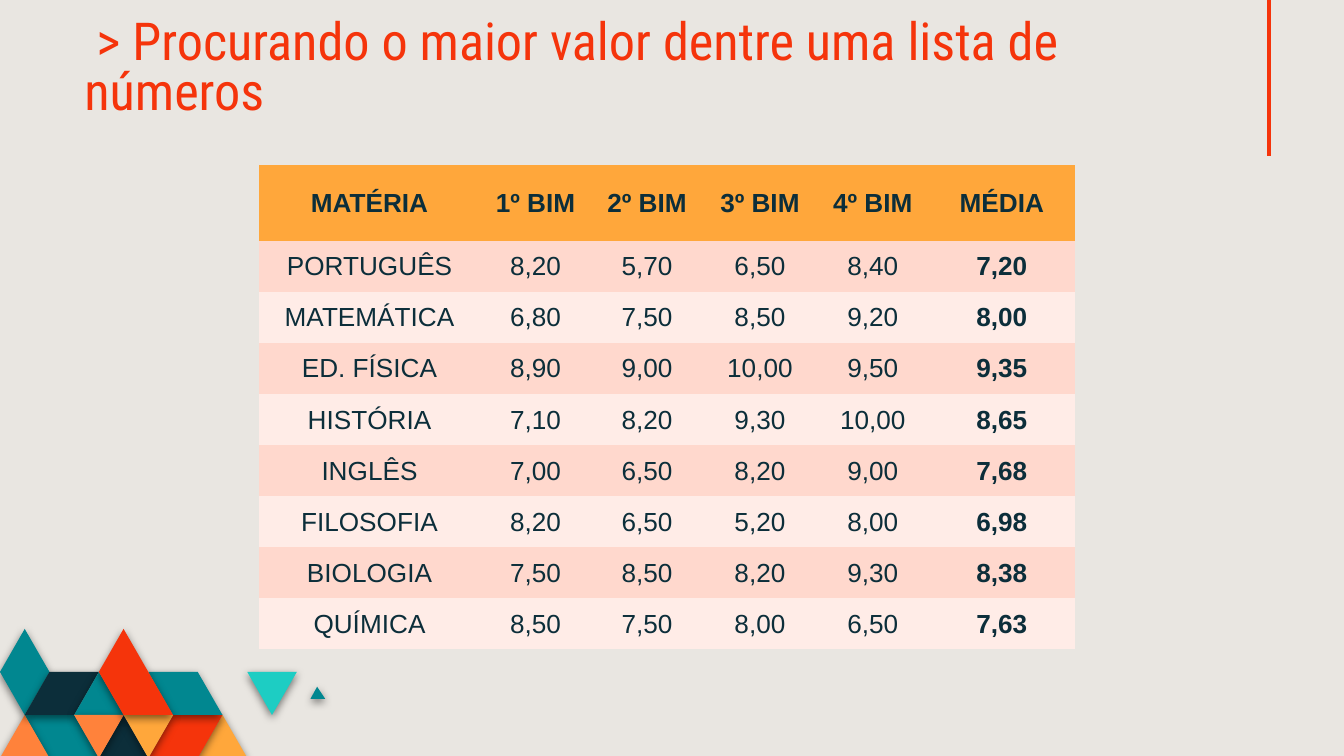
from lxml.etree import SubElement
from pptx import Presentation
from pptx.dml.color import RGBColor
from pptx.enum.shapes import MSO_CONNECTOR
from pptx.enum.text import MSO_ANCHOR, PP_ALIGN
from pptx.oxml.ns import qn
from pptx.util import Inches, Pt

RED = RGBColor(0xF5, 0x34, 0x0B)
AMBER = RGBColor(0xFF, 0xA7, 0x3B)
ORANGE = RGBColor(0xFF, 0x82, 0x3B)
TEAL = RGBColor(0x01, 0x87, 0x90)
AQUA = RGBColor(0x1D, 0xCD, 0xC3)
NAVY = RGBColor(0x0C, 0x2E, 0x3A)
SAND = RGBColor(0xE9, 0xE6, 0xE1)
PINK = RGBColor(0xFF, 0xD8, 0xCD)
PALE_PINK = RGBColor(0xFF, 0xEC, 0xE7)

SLIDE_WIDTH = 10
SLIDE_HEIGHT = SLIDE_WIDTH * 9 / 16

TITLE = " > Procurando o maior valor dentre uma lista de números"
GRADES = [
    ("MATÉRIA", "1º BIM", "2º BIM", "3º BIM", "4º BIM", "MÉDIA"),
    ("PORTUGUÊS", "8,20", "5,70", "6,50", "8,40", "7,20"),
    ("MATEMÁTICA", "6,80", "7,50", "8,50", "9,20", "8,00"),
    ("ED. FÍSICA", "8,90", "9,00", "10,00", "9,50", "9,35"),
    ("HISTÓRIA", "7,10", "8,20", "9,30", "10,00", "8,65"),
    ("INGLÊS", "7,00", "6,50", "8,20", "9,00", "7,68"),
    ("FILOSOFIA", "8,20", "6,50", "5,20", "8,00", "6,98"),
    ("BIOLOGIA", "7,50", "8,50", "8,20", "9,30", "8,38"),
    ("QUÍMICA", "8,50", "7,50", "8,00", "6,50", "7,63"),
]
COLUMN_WIDTHS = [1.64, 0.83, 0.83, 0.85, 0.83, 1.09]
HEADER_HEIGHT, ROW_HEIGHT = 0.56, 0.38
NO_STYLE_NO_GRID = "{2D5ABB26-0587-4C30-8999-92F81FD0307C}"

MOSAIC_TOP, HALF_SIDE, TILE_HEIGHT = 4.68, 0.92 / 5, 0.32
MOSAIC_TILES = [
    (AMBER, [(10, 3), (9, 2), (8, 3)]),
    (RED, [(9, 2), (7, 2), (6, 3), (8, 3)]),
    (TEAL, [(4, 3), (3, 2), (1, 2), (2, 3)]),
    (ORANGE, [(2, 3), (1, 2), (0, 3)]),
    (NAVY, [(6, 3), (5, 2), (4, 3)]),
    (TEAL, [(9, 2), (8, 1), (6, 1), (7, 2)]),
    (AQUA, [(12, 1), (10, 1), (11, 2)]),
    (TEAL, [(2, 1), (1, 0), (0, 1), (1, 2)]),
    (NAVY, [(4, 1), (2, 1), (1, 2), (3, 2)]),
    (TEAL, [(5, 2), (4, 1), (3, 2)]),
    (ORANGE, [(5, 2), (3, 2), (4, 3)]),
    (AMBER, [(7, 2), (5, 2), (6, 3)]),
    (RED, [(7, 2), (5, 0), (4, 1), (5, 2)]),
]
SMALL_TRIANGLE = [(2.42, 5.2), (2.36, 5.11), (2.31, 5.2)]


def write_text(frame, text, *, font, size, color, bold=False,
               align=PP_ALIGN.LEFT, line_spacing=1.0):
    paragraph = frame.paragraphs[0]
    paragraph.alignment = align
    paragraph.line_spacing = line_spacing
    run = paragraph.add_run()
    run.text = text
    run.font.name = font
    run.font.size = Pt(size)
    run.font.bold = bold
    run.font.color.rgb = color


def add_tile(slide, color, points):
    start, *others = [(Inches(x), Inches(y)) for x, y in points]
    builder = slide.shapes.build_freeform(*start)
    builder.add_line_segments(others, close=True)
    tile = builder.convert_to_shape()
    tile.fill.solid()
    tile.fill.fore_color.rgb = color
    tile.line.fill.background()
    effects = SubElement(tile.element.spPr, qn("a:effectLst"))
    shadow = SubElement(effects, qn("a:outerShdw"), blurRad=str(Pt(4.5)),
                        dist=str(Pt(1.5)), dir="5400000", rotWithShape="0")
    shadow_color = SubElement(shadow, qn("a:srgbClr"), val="000000")
    SubElement(shadow_color, qn("a:alpha"), val="49000")


def add_mosaic(slide):
    for color, grid_points in MOSAIC_TILES:
        points = [(column * HALF_SIDE, MOSAIC_TOP + row * TILE_HEIGHT)
                  for column, row in grid_points]
        add_tile(slide, color, points)
    add_tile(slide, TEAL, SMALL_TRIANGLE)


def add_accent_line(slide):
    line = slide.shapes.add_connector(
        MSO_CONNECTOR.STRAIGHT, Inches(9.44), Inches(-1.75), Inches(9.44), Inches(1.16))
    line.line.color.rgb = RED
    line.line.width = Pt(2.25)
    SubElement(line.element.spPr, qn("a:effectLst"))


def add_title(slide):
    box = slide.shapes.add_textbox(Inches(0.53), Inches(0.21), Inches(7.95), Inches(0.63))
    frame = box.text_frame
    frame.word_wrap = True
    frame.vertical_anchor = MSO_ANCHOR.MIDDLE
    frame.margin_left = frame.margin_right = Inches(0.1)
    frame.margin_top = frame.margin_bottom = Inches(0.1)
    write_text(frame, TITLE, font="Roboto Condensed", size=28, color=RED, line_spacing=0.8)


def add_grades_table(slide):
    heights = [HEADER_HEIGHT] + [ROW_HEIGHT] * (len(GRADES) - 1)
    graphic = slide.shapes.add_table(
        len(GRADES), len(COLUMN_WIDTHS), Inches(1.93), Inches(1.23),
        Inches(sum(COLUMN_WIDTHS)), Inches(sum(heights)))
    next(graphic.element.iter(qn("a:tableStyleId"))).text = NO_STYLE_NO_GRID
    table = graphic.table
    table.horz_banding = False
    for column, width in zip(table.columns, COLUMN_WIDTHS):
        column.width = Inches(width)
    for index, (row, height, values) in enumerate(zip(table.rows, heights, GRADES)):
        row.height = Inches(height)
        header = index == 0
        fill = AMBER if header else (PALE_PINK, PINK)[index % 2]
        for position, (cell, value) in enumerate(zip(row.cells, values)):
            cell.fill.solid()
            cell.fill.fore_color.rgb = fill
            cell.vertical_anchor = MSO_ANCHOR.MIDDLE
            cell.margin_left = cell.margin_right = cell.margin_top = Inches(0.01)
            cell.margin_bottom = 0
            average = position == len(values) - 1
            write_text(cell.text_frame, value, font="Arial", size=14, color=NAVY,
                       bold=header or average, align=PP_ALIGN.CENTER)


def main():
    presentation = Presentation()
    presentation.slide_width = Inches(SLIDE_WIDTH)
    presentation.slide_height = Inches(SLIDE_HEIGHT)
    slide = presentation.slides.add_slide(presentation.slide_layouts[6])
    slide.background.fill.solid()
    slide.background.fill.fore_color.rgb = SAND
    add_accent_line(slide)
    add_mosaic(slide)
    add_title(slide)
    add_grades_table(slide)
    presentation.save("out.pptx")


if __name__ == "__main__":
    main()
